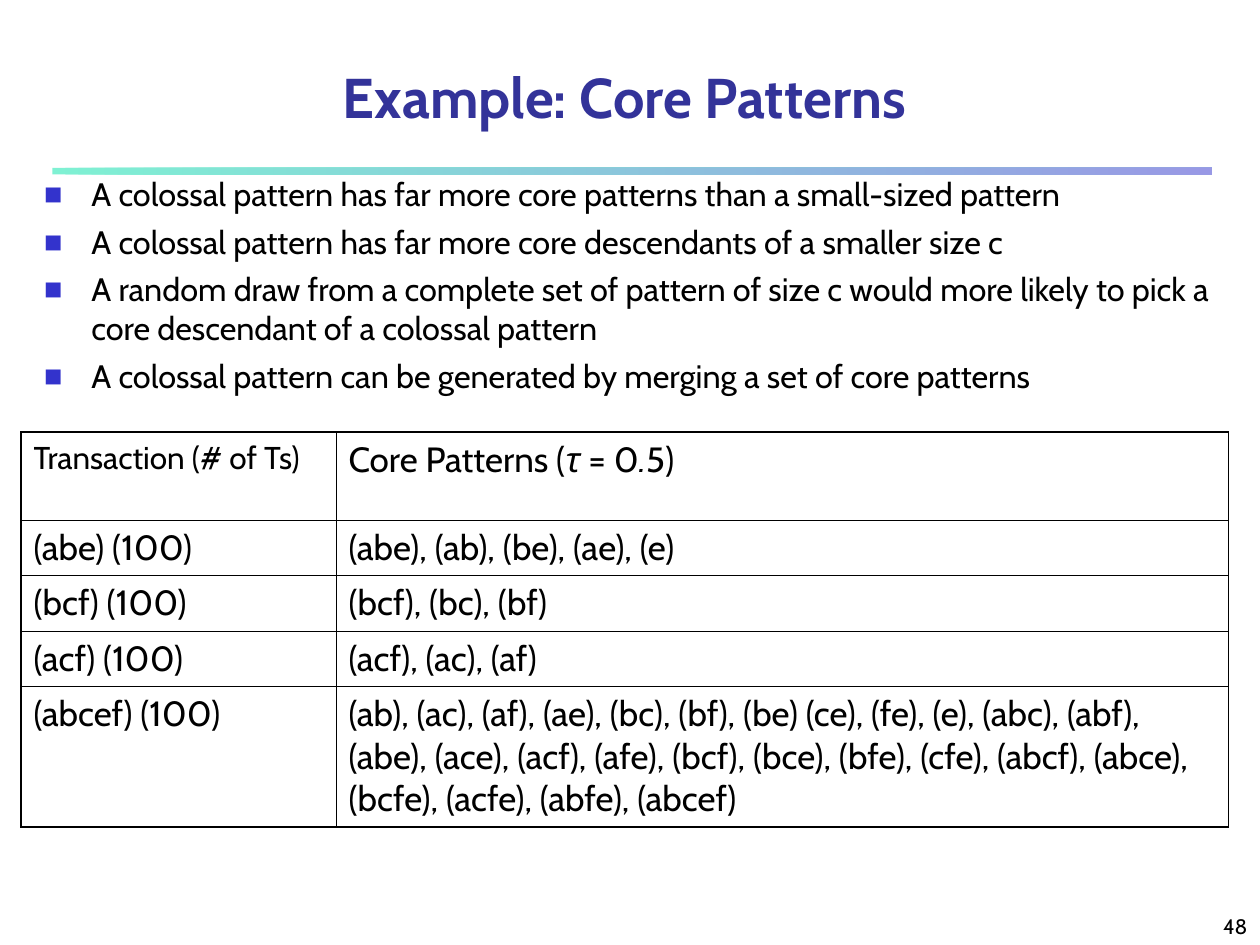
from lxml.etree import SubElement as Sub
from pptx import Presentation
from pptx.dml.color import RGBColor as RGB
from pptx.enum.shapes import MSO_SHAPE as Shape
from pptx.enum.text import MSO_ANCHOR as Anchor, MSO_AUTO_SIZE as Fit, PP_ALIGN as Align
from pptx.oxml.ns import qn
from pptx.util import Pt

FONT = "Cabin"
BLACK = RGB(0x00, 0x00, 0x00)
NAVY = RGB(0x33, 0x33, 0x99)
BLUE = RGB(0x33, 0x33, 0xCC)
MINT = RGB(0x00, 0xE4, 0xA8)
THIN, THICK = 0.45, 1.08

POINTS = [
    "A colossal pattern has far more core patterns than a small-sized pattern",
    "A colossal pattern has far more core descendants of a smaller size c",
    "A random draw from a complete set of pattern of size c would more likely "
    "to pick a core descendant of a colossal pattern",
    "A colossal pattern can be generated by merging a set of core patterns",
]
HEAD = [("Core Patterns (", False), ("τ ", True), ("= 0", False), (".", True), ("5)", False)]
ROWS = [
    ("Transaction (# of Ts)", HEAD),
    ("(abe) (100)", "(abe), (ab), (be), (ae), (e)"),
    ("(bcf) (100)", "(bcf), (bc), (bf)"),
    ("(acf) (100)", "(acf), (ac), (af)"),
    ("(abcef) (100)",
     "(ab), (ac), (af), (ae), (bc), (bf), (be) (ce), (fe), (e), (abc), (abf), "
     "(abe), (ace), (acf), (afe), (bcf), (bce), (bfe), (cfe), (abcf), (abce), "
     "(bcfe), (acfe), (abfe), (abcef)"),
]
WIDTHS = [180, 510]
HEIGHTS = [50.4, 31.5, 31.5, 31.5, 80]


def write(par, text, size=20, color=BLACK, bold=False, align=Align.LEFT, before=0):
    """Fill a paragraph with a string or with (string, italic) pairs."""
    par.alignment = align
    par.space_before = Pt(before)
    for part, slant in [(text, False)] if isinstance(text, str) else text:
        run = par.add_run()
        run.text = part
        font = run.font
        font.name, font.size, font.bold, font.italic = FONT, Pt(size), bold, slant
        font.color.rgb = color


def place(item, left, top, width, height, anchor=Anchor.TOP):
    """Position a text shape and return its frame."""
    item.left, item.top, item.width, item.height = map(Pt, (left, top, width, height))
    frame = item.text_frame
    frame.word_wrap, frame.auto_size = True, Fit.NONE
    frame.vertical_anchor = anchor
    return frame


def bullet(par):
    """Give a paragraph a hanging square bullet."""
    props = par._p.get_or_add_pPr()
    props.set("marL", str(Pt(27)))
    props.set("indent", str(-Pt(27)))
    Sub(Sub(props, qn("a:buClr")), qn("a:srgbClr"), val=str(BLUE))
    Sub(props, qn("a:buSzPct"), val="60000")
    Sub(props, qn("a:buFont"), typeface=FONT)
    Sub(props, qn("a:buChar"), char="■")


def add_bar(slide):
    """Draw the half-transparent gradient rule behind the text."""
    bar = slide.shapes.add_shape(Shape.RECTANGLE, Pt(30), Pt(96), Pt(662.5), Pt(3.75))
    bar.shadow.inherit = False
    bar.line.fill.background()
    bar.fill.gradient()
    bar.fill.gradient_angle = 0
    for stop, color, pos in zip(bar.fill.gradient_stops, (MINT, BLUE), (0, 1)):
        stop.color.rgb, stop.position = color, pos
    for node in bar._element.iter(qn("a:srgbClr")):
        Sub(node, qn("a:alpha"), val="50000")
    slide.shapes._spTree.insert(2, bar._element)


def border(cell, sides):
    """Draw the black edges of a cell from a map of side to width."""
    props = cell._tc.get_or_add_tcPr()
    for side, width in sides.items():
        line = Sub(props, qn("a:ln" + side), w=str(Pt(width)))
        Sub(Sub(line, qn("a:solidFill")), qn("a:srgbClr"), val=str(BLACK))


def add_grid(slide):
    """Build the table of transactions and their core patterns."""
    rows, cols = len(ROWS), len(WIDTHS)
    grid = slide.shapes.add_table(rows, cols, Pt(12), Pt(247), Pt(sum(WIDTHS)),
                                  Pt(sum(HEIGHTS))).table
    grid.first_row = grid.horz_banding = False
    for col, width in zip(grid.columns, WIDTHS):
        col.width = Pt(width)
    for r, (row, height) in enumerate(zip(grid.rows, HEIGHTS)):
        row.height = Pt(height)
        for c, cell in enumerate(row.cells):
            edges = {"L": c == 0, "R": c == cols - 1, "T": r == 0, "B": r == rows - 1}
            border(cell, {side: THICK if outer else THIN for side, outer in edges.items()})
            cell.fill.background()
            small = r == c == 0
            write(cell.text_frame.paragraphs[0], ROWS[r][c],
                  size=18 if small else 20, before=4.5 if small else 5)


def main():
    """Build and save the slide."""
    deck = Presentation()
    deck.slide_width, deck.slide_height = Pt(720), Pt(540)
    slide = deck.slides.add_slide(deck.slide_layouts[1])
    title, body = slide.placeholders
    add_bar(slide)
    frame = place(title, 30, 30, 654, 48, Anchor.BOTTOM)
    write(frame.paragraphs[0], "Example: Core Patterns", size=32, color=NAVY,
          bold=True, align=Align.CENTER)
    frame = place(body, 18, 96, 684, 144)
    for i, text in enumerate(POINTS):
        par = frame.add_paragraph() if i else frame.paragraphs[0]
        write(par, text, size=18.5, before=5)
        bullet(par)
    add_grid(slide)
    page = slide.shapes.add_textbox(0, 0, 0, 0)
    frame = place(page, 570, 510, 150, 30, Anchor.BOTTOM)
    write(frame.paragraphs[0], "48", size=12, align=Align.RIGHT)
    deck.save("out.pptx")


if __name__ == "__main__":
    main()
